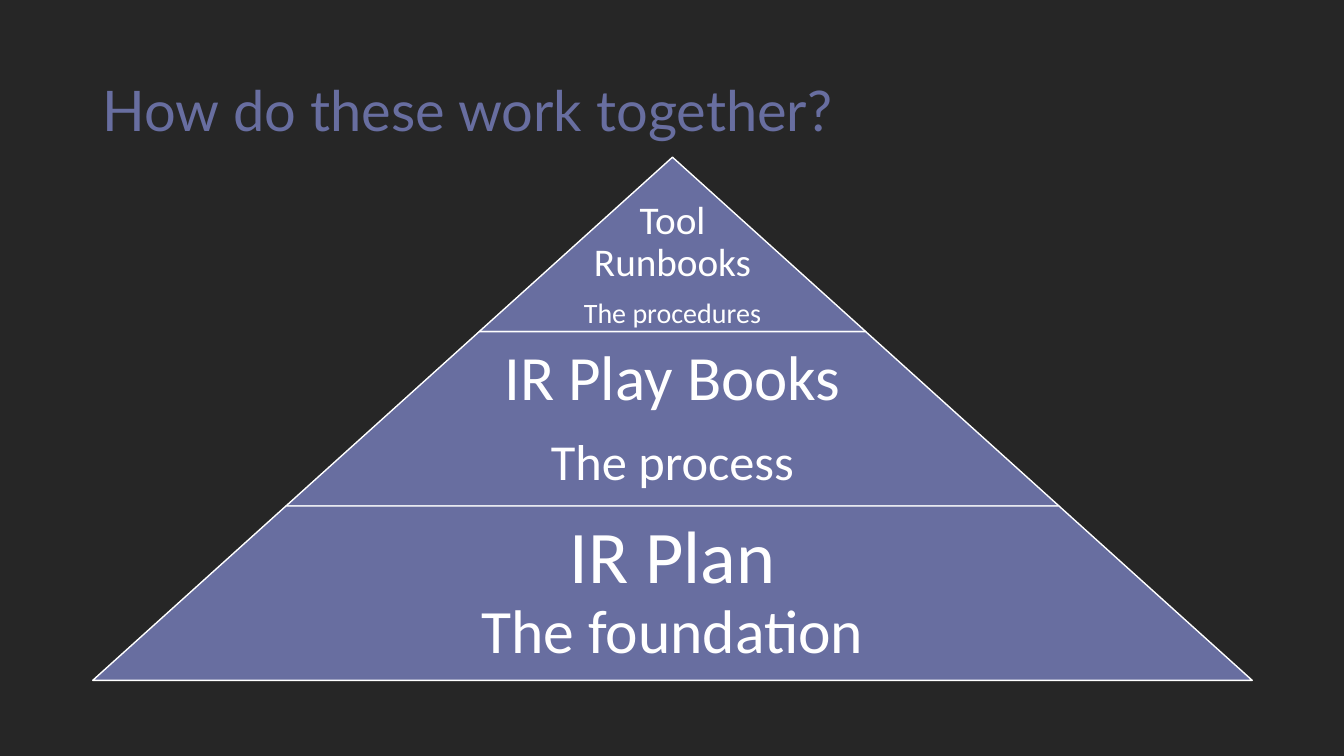
from dataclasses import dataclass

from pptx import Presentation
from pptx.dml.color import RGBColor
from pptx.enum.shapes import MSO_SHAPE as Shape
from pptx.enum.text import MSO_ANCHOR as Anchor, MSO_AUTO_SIZE as AutoSize, PP_ALIGN as Align
from pptx.util import Inches, Pt


@dataclass(frozen=True)
class Theme:
    ground: RGBColor = RGBColor.from_string("262626")
    accent: RGBColor = RGBColor.from_string("686EA0")
    light: RGBColor = RGBColor.from_string("FFFFFF")
    title_font: str = "Lato"
    body_font: str = "Calibri"
    title_size: int = 40
    tier_sizes: tuple = ((28, 20), (45, 36), (53, 44))
    line_spacing: float = 0.9
    gap_share: float = 0.35
    outline: int = 1


def apply(target, **values):
    for name, value in values.items():
        setattr(target, name, value)


class PyramidSlide:
    def __init__(self, deck, theme):
        self.theme = theme
        self.page = deck.slides.add_slide(deck.slide_layouts[5])
        self.page.background.fill.solid()
        self.page.background.fill.fore_color.rgb = theme.ground
        self.left, self.top = Inches(0.92), Inches(1.56)
        self.column, self.row = Inches(11.5 / 6), Inches(1.73)

    def add_text(self, para, text, size, font, color):
        for index, line in enumerate(text.split("\n")):
            if index:
                para.add_line_break()
            span = para.add_run()
            span.text = line
            apply(span.font, size=Pt(size), name=font)
            span.font.color.rgb = color

    def title(self, text):
        box = self.page.shapes.title
        apply(box, left=self.left, top=Inches(0.4), width=6 * self.column, height=Inches(1.45))
        apply(box.text_frame, vertical_anchor=Anchor.MIDDLE, auto_size=AutoSize.NONE, word_wrap=True)
        para = box.text_frame.paragraphs[0]
        apply(para, alignment=Align.LEFT, line_spacing=self.theme.line_spacing)
        self.add_text(para, text, self.theme.title_size, self.theme.title_font, self.theme.accent)

    def tier(self, group, level, count):
        width = 2 * (level + 1) * self.column
        left = self.left + (count - 1 - level) * self.column
        top = self.top + level * self.row
        band = group.shapes.add_shape(Shape.TRAPEZOID, left, top, width, self.row)
        band.adjustments[0] = self.column / self.row
        band.shadow.inherit = False
        band.fill.solid()
        band.fill.fore_color.rgb = self.theme.accent
        band.line.color.rgb = self.theme.light
        band.line.width = Pt(self.theme.outline)
        return left, top, width

    def label(self, group, area, parts, sizes, share, inset, anchor, same_para):
        left, top, width = area
        box = group.shapes.add_textbox(
            int(left + width * (1 - share) / 2), top, int(width * share), self.row)
        frame = box.text_frame
        margin = Inches(inset)
        apply(frame, word_wrap=True, vertical_anchor=anchor, auto_size=AutoSize.NONE,
              margin_left=margin, margin_right=margin, margin_top=margin, margin_bottom=margin)
        para = frame.paragraphs[0]
        for index, (text, size) in enumerate(zip(parts, sizes)):
            if index and same_para:
                para.add_line_break()
            elif index:
                para.space_after = Pt(round(sizes[0] * self.theme.gap_share))
                para = frame.add_paragraph()
            apply(para, alignment=Align.CENTER, line_spacing=self.theme.line_spacing)
            self.add_text(para, text, size, self.theme.body_font, self.theme.light)

    def pyramid(self, tiers):
        group = self.page.shapes.add_group_shape()
        for level, (parts, style) in enumerate(tiers):
            area = self.tier(group, level, len(tiers))
            self.label(group, area, parts, self.theme.tier_sizes[level], **style)


def main():
    deck = Presentation()
    apply(deck, slide_width=Inches(13.33), slide_height=Inches(7.5))
    slide = PyramidSlide(deck, Theme())
    slide.title("How do these work together?")
    slide.pyramid([
        (("Tool\nRunbooks", "The procedures"),
         dict(share=1, inset=0.02, anchor=Anchor.BOTTOM, same_para=False)),
        (("IR Play Books", "The process"),
         dict(share=0.65, inset=0.06, anchor=Anchor.MIDDLE, same_para=False)),
        (("IR Plan", "The foundation"),
         dict(share=0.65, inset=0.07, anchor=Anchor.MIDDLE, same_para=True)),
    ])
    deck.save("out.pptx")


if __name__ == "__main__":
    main()
